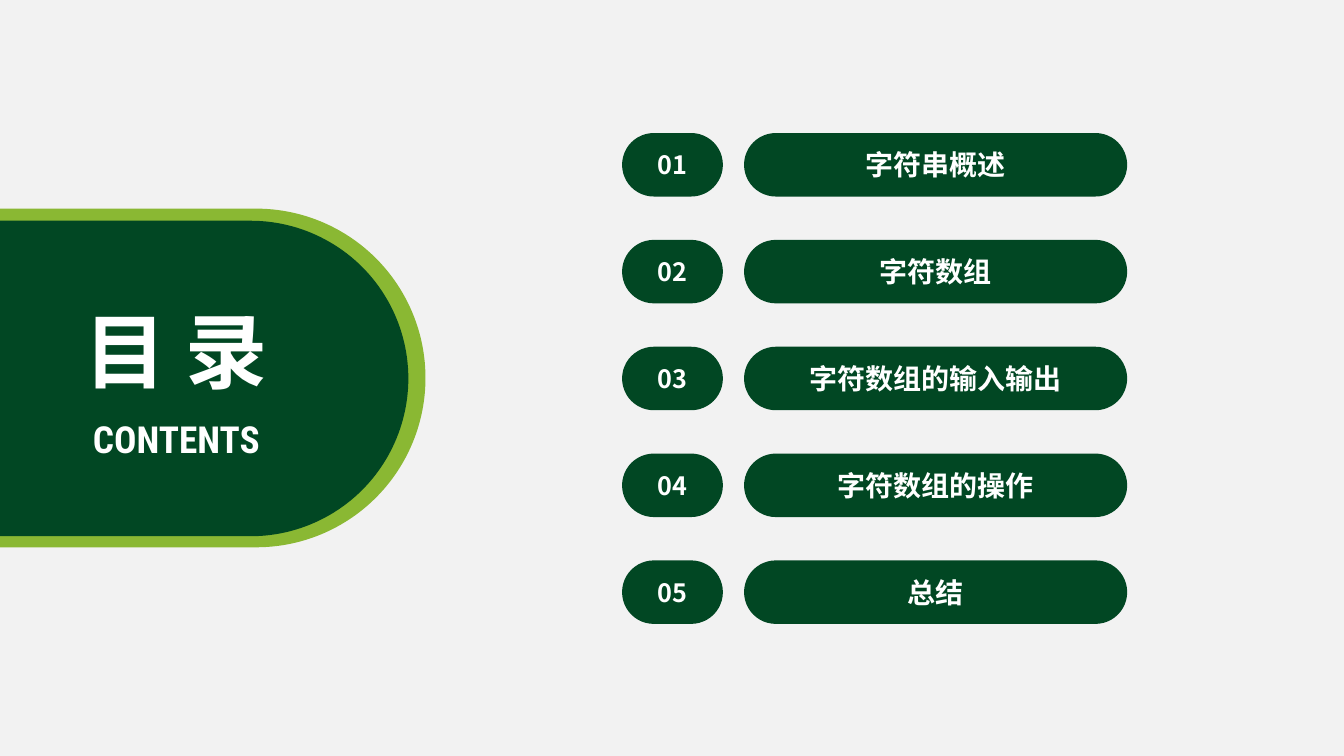
from dataclasses import dataclass

from lxml.etree import SubElement
from pptx import Presentation
from pptx.dml.color import RGBColor
from pptx.enum.shapes import MSO_SHAPE as Shape
from pptx.enum.text import MSO_ANCHOR as Anchor, MSO_AUTO_SIZE as AutoSize, PP_ALIGN as Align
from pptx.oxml.ns import qn
from pptx.util import Inches, Pt


@dataclass(frozen=True)
class Theme:
    background: RGBColor = RGBColor(0xF2, 0xF2, 0xF2)
    dark: RGBColor = RGBColor(0x01, 0x47, 0x23)
    accent: RGBColor = RGBColor(0x8A, 0xB8, 0x33)
    text: RGBColor = RGBColor(0xFF, 0xFF, 0xFF)
    chinese_font: str = "Noto Sans CJK SC"
    latin_font: str = "Roboto Condensed"
    title_size: float = 58.6
    subtitle_size: float = 26.6
    topic_size: float = 20
    number_size: float = 18


class ContentsSlide:
    def __init__(self, slide, theme):
        self.slide = slide
        self.theme = theme
        slide.background.fill.solid()
        slide.background.fill.fore_color.rgb = theme.background

    def set_text(self, frame, text, size, font_name):
        """Put one centred bold line into a text frame."""
        frame.text = text
        line = frame.paragraphs[0]
        line.alignment = Align.CENTER
        font = line.font
        font.size = Pt(size)
        font.bold = True
        font.color.rgb = self.theme.text
        font.name = font_name
        SubElement(font._element, qn("a:ea")).set("typeface", font_name)

    def pill(self, left, top, width, height, color, text=None, size=None):
        pill = self.slide.shapes.add_shape(
            Shape.ROUNDED_RECTANGLE,
            Inches(left), Inches(top), Inches(width), Inches(height))
        pill.adjustments[0] = 0.5
        pill.shadow.inherit = False
        pill.fill.solid()
        pill.fill.fore_color.rgb = color
        pill.line.fill.background()
        if text:
            pill.text_frame.vertical_anchor = Anchor.MIDDLE
            self.set_text(pill.text_frame, text, size, self.theme.chinese_font)

    def fit(self, frame):
        frame.word_wrap = False
        frame.auto_size = AutoSize.SHAPE_TO_FIT_TEXT
        frame.vertical_anchor = Anchor.TOP

    def label(self, left, top, width, height, text, size):
        label = self.slide.shapes.add_textbox(
            Inches(left), Inches(top), Inches(width), Inches(height))
        self.fit(label.text_frame)
        self.set_text(label.text_frame, text, size, self.theme.latin_font)

    def title(self, left, top, width, height, text):
        """Fill the title placeholder and bring it in front of the pills."""
        title = self.slide.shapes.title
        title.left, title.top = Inches(left), Inches(top)
        title.width, title.height = Inches(width), Inches(height)
        self.fit(title.text_frame)
        self.set_text(title.text_frame, text, self.theme.title_size, self.theme.chinese_font)
        self.slide.shapes._spTree.append(title._element)


TOPICS = ["字符串概述", "字符数组", "字符数组的输入输出", "字符数组的操作", "总结"]
FIRST_TOP, ROW_PITCH, ROW_HEIGHT = 1.32, 1.06, 0.63


def main():
    deck = Presentation()
    deck.slide_width, deck.slide_height = Inches(13.33), Inches(7.5)
    theme = Theme()
    contents = ContentsSlide(deck.slides.add_slide(deck.slide_layouts[5]), theme)

    contents.pill(-1.96, 2.07, 6.18, 3.36, theme.accent)
    contents.pill(-1.7, 2.19, 5.75, 3.13, theme.dark)

    for row, topic in enumerate(TOPICS):
        top = FIRST_TOP + row * ROW_PITCH
        contents.pill(6.17, top, 1, ROW_HEIGHT, theme.dark,
                      f"{row + 1:02}", theme.number_size)
        contents.pill(7.38, top, 3.8, ROW_HEIGHT, theme.dark, topic, theme.topic_size)

    contents.label(0.62, 4.08, 2.26, 0.55, "CONTENTS", theme.subtitle_size)
    contents.title(0.7, 2.93, 2.09, 1.09, "目 录")

    deck.save("out.pptx")


if __name__ == "__main__":
    main()
